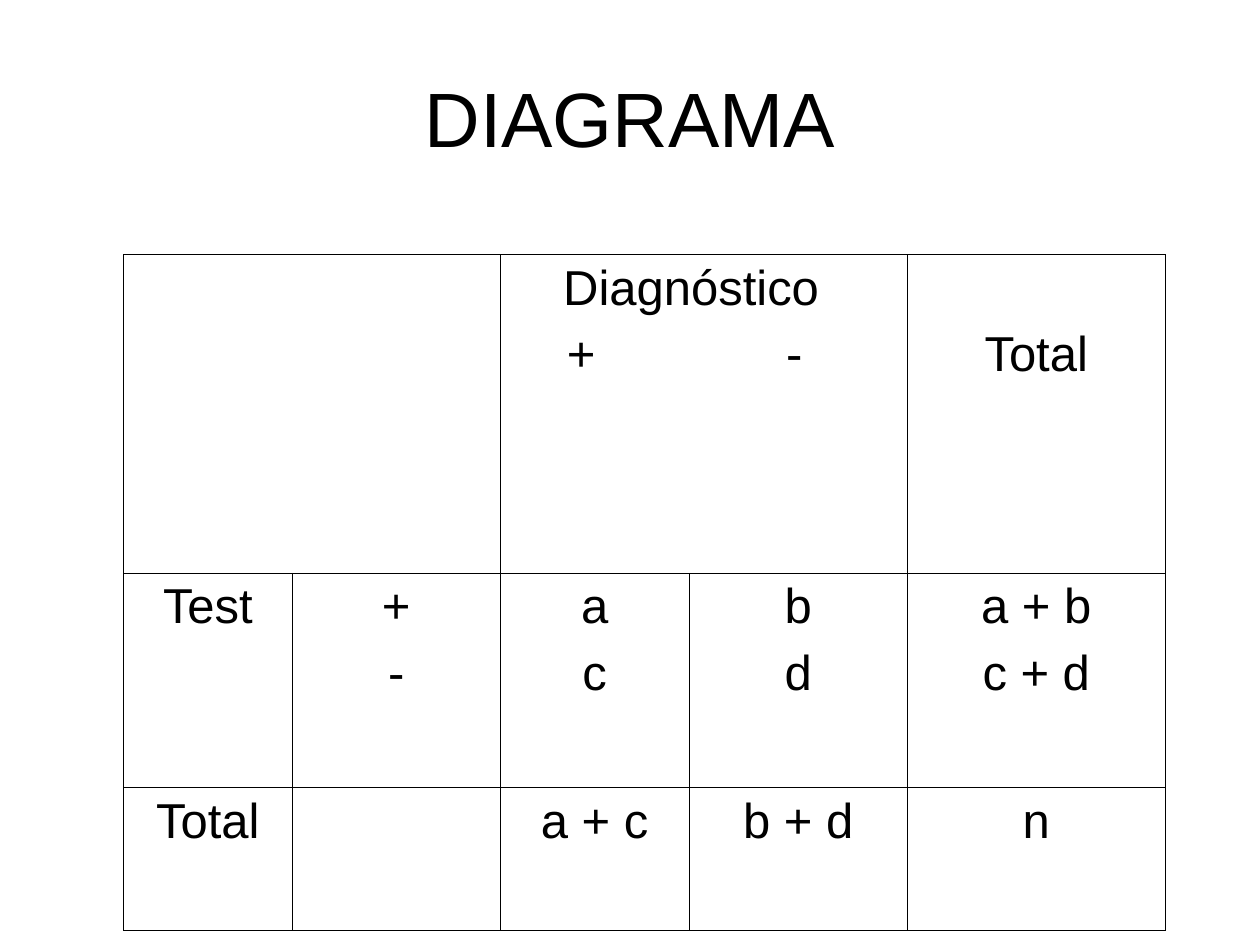
from dataclasses import dataclass

from lxml import etree
from pptx import Presentation, util as u
from pptx.dml.color import RGBColor
from pptx.enum import text
from pptx.oxml import ns

BLACK = RGBColor(0, 0, 0)
WHITE = RGBColor(255, 255, 255)
FONT = "Arial"
WIDTH, HEIGHT = u.Inches(10), u.Inches(7.5)
COLUMNS = (1.34, 1.65, 1.5, 1.73, 2.05)
ROWS = (2.53, 1.7, 1.13)
LINE_PITCH = 0.53
BORDER = u.Pt(0.45)


@dataclass(frozen=True)
class Entry:
    row: int
    column: int
    lines: tuple[str, ...] = ()
    span: int = 1
    top: float = 0.05
    right: float = 0.1
    tabs: tuple[float, ...] = ()


ENTRIES = (
    Entry(0, 0, span=2),
    Entry(0, 2, ("Diagnóstico", "\t+\t-"), span=2, right=0.3, tabs=(0.43, 2.17)),
    Entry(0, 4, ("Total",), top=0.05 + LINE_PITCH),
    Entry(1, 0, ("Test",)),
    Entry(1, 1, ("+", "-")),
    Entry(1, 2, ("a", "c")),
    Entry(1, 3, ("b", "d")),
    Entry(1, 4, ("a + b", "c + d")),
    Entry(2, 0, ("Total",)),
    Entry(2, 2, ("a + c",)),
    Entry(2, 3, ("b + d",)),
    Entry(2, 4, ("n",)),
)


def add_tabs(para, stops: tuple[float, ...]) -> None:
    properties = para._p.get_or_add_pPr()
    tab_list = etree.SubElement(properties, ns.qn("a:tabLst"))
    for stop in stops:
        etree.SubElement(tab_list, ns.qn("a:tab"), pos=str(u.Inches(stop)), algn="l")


def write(frame, lines: tuple[str, ...], *, size: float, gap: float = 0,
          tabs: tuple[float, ...] = ()) -> None:
    """Write centred lines; a line holding tabs is left-aligned to the stops."""
    for index, line in enumerate(lines):
        para = frame.add_paragraph() if index else frame.paragraphs[0]
        tabbed = "\t" in line
        para.alignment = text.PP_ALIGN.LEFT if tabbed else text.PP_ALIGN.CENTER
        if index:
            para.space_before = u.Pt(gap)
        if tabbed:
            add_tabs(para, tabs)
        span = para.add_run()
        span.text = line
        span.font.name, span.font.size = FONT, u.Pt(size)
        span.font.color.rgb = BLACK


def frame_cell(cell) -> None:
    """Give a cell no fill and a thin line on every side."""
    cell.fill.background()
    properties = cell._tc.get_or_add_tcPr()
    for index, side in enumerate(("lnL", "lnR", "lnT", "lnB")):
        line = etree.Element(ns.qn(f"a:{side}"), w=str(BORDER))
        fill = etree.SubElement(line, ns.qn("a:solidFill"))
        etree.SubElement(fill, ns.qn("a:srgbClr"), val=str(BLACK))
        properties.insert(index, line)


def add_title(page, title: str) -> None:
    box = page.shapes.add_textbox(int(WIDTH * 0.05), int(HEIGHT * 0.04),
                                  int(WIDTH * 0.9), u.Inches(1.25))
    box.text_frame.word_wrap = True
    box.text_frame.vertical_anchor = text.MSO_ANCHOR.MIDDLE
    write(box.text_frame, (title,), size=44)


def add_diagnosis_table(page) -> None:
    table = page.shapes.add_table(
        len(ROWS), len(COLUMNS), u.Inches(0.98), u.Inches(2.02),
        u.Inches(sum(COLUMNS)), u.Inches(sum(ROWS))).table
    table.first_row = table.horz_banding = False
    for column, width in zip(table.columns, COLUMNS):
        column.width = u.Inches(width)
    for row, height in zip(table.rows, ROWS):
        row.height = u.Inches(height)
    for cell in table.iter_cells():
        frame_cell(cell)
    for entry in ENTRIES:
        cell = table.cell(entry.row, entry.column)
        if entry.span > 1:
            cell.merge(table.cell(entry.row, entry.column + entry.span - 1))
        cell.margin_top = u.Inches(entry.top)
        cell.margin_right = u.Inches(entry.right)
        write(cell.text_frame, entry.lines, size=28, gap=7, tabs=entry.tabs)


def main() -> None:
    deck = Presentation()
    deck.slide_width, deck.slide_height = WIDTH, HEIGHT
    page = deck.slides.add_slide(deck.slide_layouts[6])
    page.background.fill.solid()
    page.background.fill.fore_color.rgb = WHITE
    add_title(page, "DIAGRAMA")
    add_diagnosis_table(page)
    deck.save("out.pptx")


if __name__ == "__main__":
    main()
